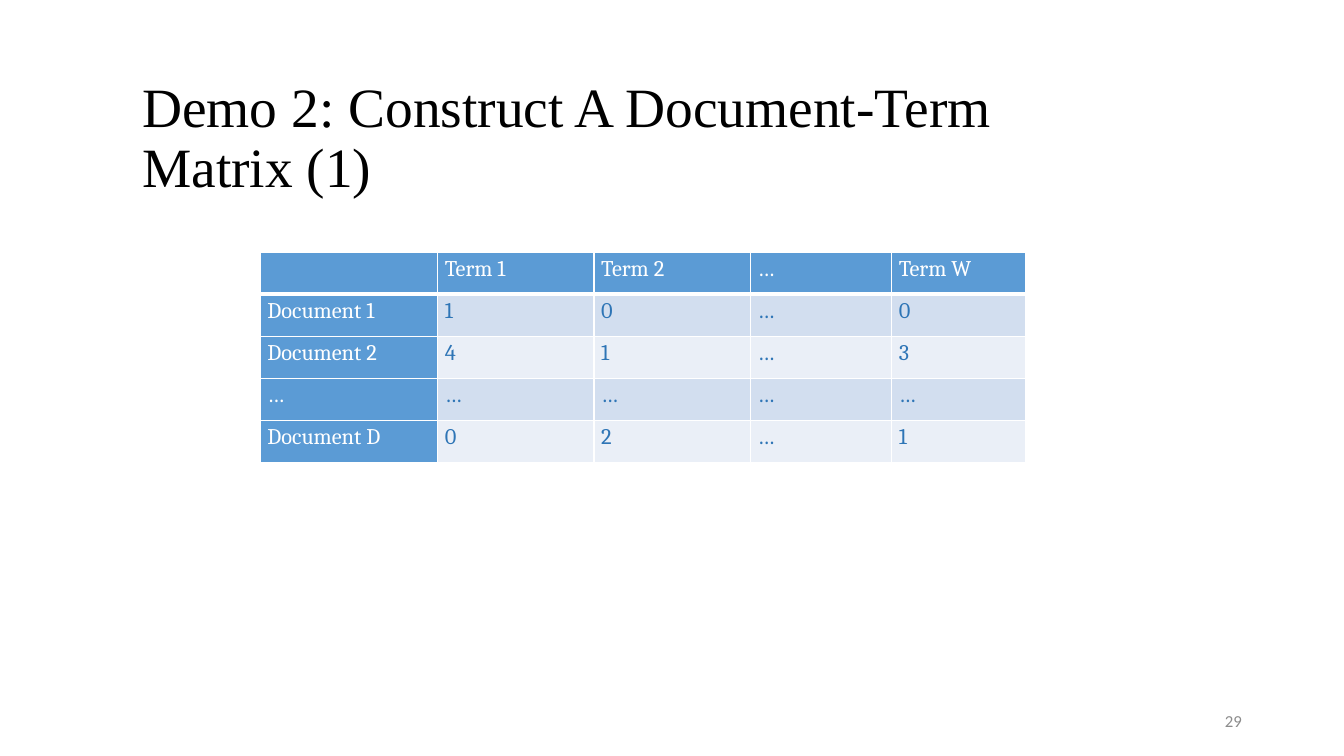
"""Build the document-term matrix slide."""
from lxml.etree import SubElement
from pptx import Presentation
from pptx.dml.color import RGBColor
from pptx.enum.text import MSO_ANCHOR, MSO_AUTO_SIZE, PP_ALIGN
from pptx.oxml.ns import qn
from pptx.util import Cm, Pt

TITLE = "Demo 2: Construct A Document-Term Matrix (1)"
PAGE = "29"
MATRIX = [
    ("", "Term 1", "Term 2", "…", "Term W"),
    ("Document 1", "1", "0", "…", "0"),
    ("Document 2", "4", "1", "…", "3"),
    ("…", "…", "…", "…", "…"),
    ("Document D", "0", "2", "…", "1"),
]
COL_WIDTHS = (4.47, 3.94, 3.94, 3.56, 3.38)
ROW_HEIGHT = 1.06
COLORS = {
    "title": "000000",
    "page": "8C8C8C",
    "header": "5B9BD5",
    "odd": "D2DEEF",
    "even": "EAEFF7",
    "value": "2E75B6",
    "white": "FFFFFF",
}


def rgb(name):
    return RGBColor.from_string(COLORS[name])


def write(tf, text, font, size, color, align=PP_ALIGN.LEFT, spacing=1.0):
    tf.text = text
    p = tf.paragraphs[0]
    p.alignment = align
    p.line_spacing = spacing
    for r in p.runs:
        r.font.name = font
        r.font.size = Pt(size)
        r.font.bold = False
        r.font.color.rgb = rgb(color)


def add_borders(cell, bottom):
    tcPr = cell._tc.get_or_add_tcPr()
    widths = (("a:lnL", 1), ("a:lnR", 1), ("a:lnT", 1), ("a:lnB", bottom))
    for tag, width in widths:
        ln = SubElement(tcPr, qn(tag), w=str(Pt(width)))
        fill = SubElement(ln, qn("a:solidFill"))
        SubElement(fill, qn("a:srgbClr"), val=COLORS["white"])


def add_matrix(slide):
    frame = slide.shapes.add_table(
        len(MATRIX), len(COL_WIDTHS), Cm(6.56), Cm(6.35),
        Cm(sum(COL_WIDTHS)), Cm(ROW_HEIGHT * len(MATRIX)))
    table = frame.table
    for col, width in zip(table.columns, COL_WIDTHS):
        col.width = Cm(width)
    for i, row in enumerate(MATRIX):
        table.rows[i].height = Cm(ROW_HEIGHT)
        for j, text in enumerate(row):
            cell = table.cell(i, j)
            is_header = i == 0 or j == 0
            cell.margin_left = cell.margin_right = Cm(0.18)
            cell.margin_top = cell.margin_bottom = 0
            write(cell.text_frame, text, "Cambria", 16,
                  "white" if is_header else "value", spacing=1.15)
            add_borders(cell, 3 if i == 0 else 1)
            cell.fill.solid()
            band = "odd" if i % 2 else "even"
            cell.fill.fore_color.rgb = rgb("header" if is_header else band)


def main():
    prs = Presentation()
    prs.slide_width, prs.slide_height = Cm(33.87), Cm(19.05)
    slide = prs.slides.add_slide(prs.slide_layouts[5])

    title = slide.shapes.title
    title.left, title.top = Cm(3.33), Cm(2.31)
    title.width, title.height = Cm(25.7), Cm(2.41)
    tf = title.text_frame
    tf.auto_size = MSO_AUTO_SIZE.NONE
    tf.vertical_anchor = MSO_ANCHOR.MIDDLE
    write(tf, TITLE, "Times New Roman", 39.6, "title", spacing=0.9)

    add_matrix(slide)

    page = slide.shapes.add_textbox(Cm(23.93), Cm(17.65), Cm(7.62), Cm(1.02))
    tf = page.text_frame
    tf.word_wrap = True
    tf.vertical_anchor = MSO_ANCHOR.MIDDLE
    write(tf, PAGE, "Calibri", 12, "page", PP_ALIGN.RIGHT)

    prs.save("out.pptx")


if __name__ == "__main__":
    main()
